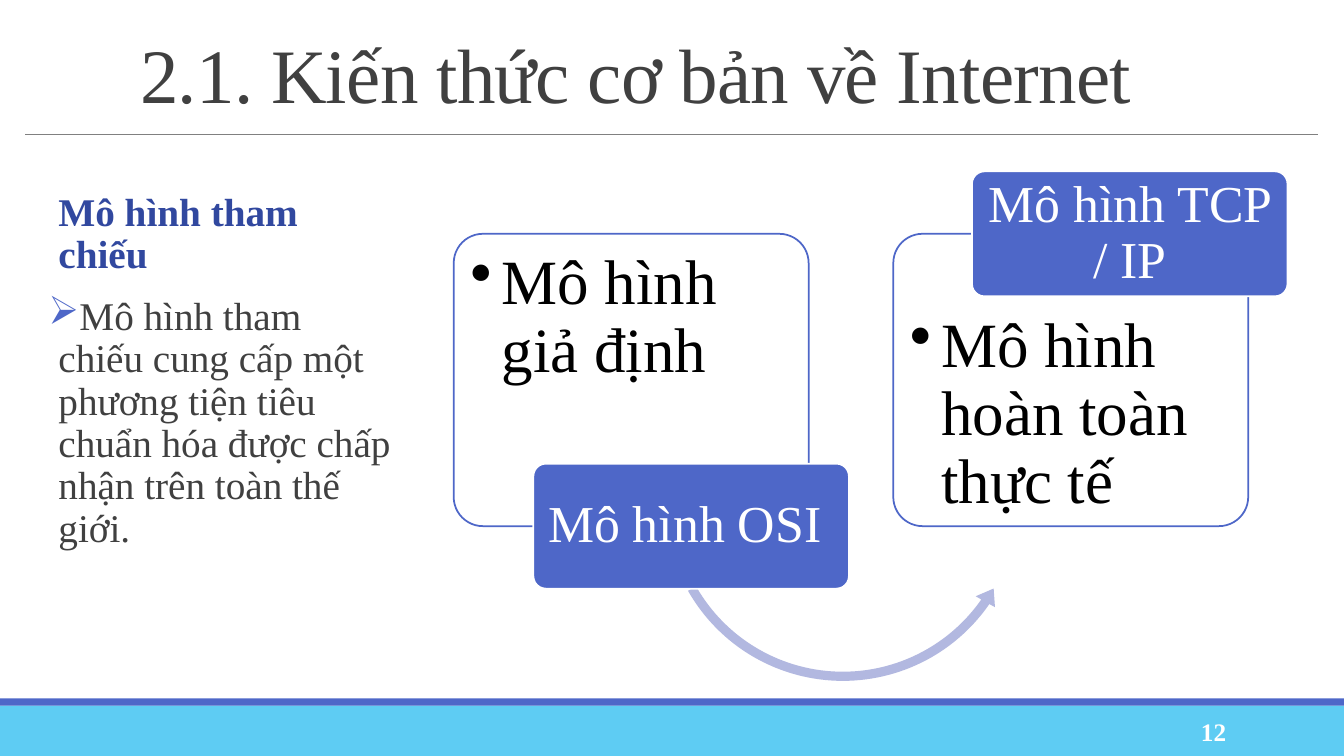
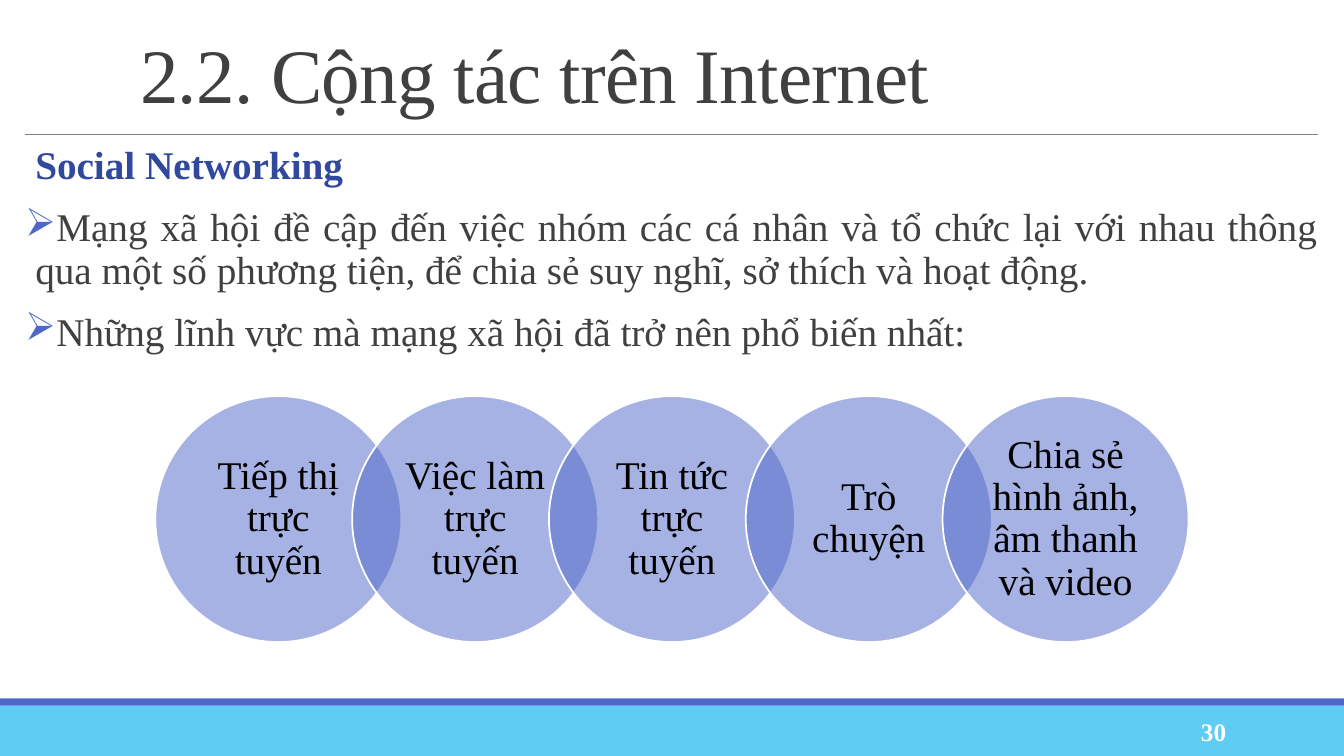
from lxml.etree import SubElement
from pptx import Presentation
from pptx.dml.color import RGBColor
from pptx.enum.shapes import MSO_CONNECTOR, MSO_SHAPE
from pptx.enum.text import MSO_ANCHOR, PP_ALIGN
from pptx.oxml.ns import qn
from pptx.util import Inches, Pt

# Content
MODELS = {
    "title": "2.1. Kiến thức cơ bản về Internet",
    "number": "12",
    "heading": "Mô hình tham chiếu",
    "points": ["Mô hình tham chiếu cung cấp một phương tiện tiêu chuẩn hóa được "
               "chấp nhận trên toàn thế giới."],
}
# Card text, card left, text top inset, label, label left, label top
CARDS = [
    ("Mô hình giả định", 4.5, 0.08, "Mô hình OSI ", 5.29, 4.6),
    ("Mô hình hoàn toàn thực tế", 8.86, 0.7, "Mô hình TCP / IP", 9.64, 1.7),
]
SOCIAL = {
    "title": "2.2. Cộng tác trên Internet",
    "number": "30",
    "heading": "Social Networking",
    "points": ["Mạng xã hội đề cập đến việc nhóm các cá nhân và tổ chức lại với nhau "
               "thông qua một số phương tiện, để chia sẻ suy nghĩ, sở thích và hoạt động.",
               "Những lĩnh vực mà mạng xã hội đã trở nên phổ biến nhất:"],
}
AREAS = ["Tiếp thị trực tuyến", "Việc làm trực tuyến", "Tin tức trực tuyến",
         "Trò chuyện", "Chia sẻ hình ảnh, âm thanh và video"]

# Style
FONT = "Times New Roman"
COLORS = {"sky": "5ECCF3", "blue": "4E67C8", "navy": "31489F", "text": "404040",
          "rule": "808080", "arrow": "B2B8E0", "white": "FFFFFF", "black": "000000"}
WIDTH, HEIGHT = 13.33, 7.5
LABEL_INSETS = (0.08, 0.05, 0.08, 0.05)


def rgb(name):
    return RGBColor.from_string(COLORS[name])


def add_bullet(p, char, indent, color):
    pPr = p._p.get_or_add_pPr()
    pPr.set("marL", str(Inches(indent)))
    pPr.set("indent", str(-Inches(indent)))
    clr = SubElement(pPr, qn("a:buClr"))
    SubElement(clr, qn("a:srgbClr"), val=COLORS[color])
    SubElement(pPr, qn("a:buChar"), char=char)


def style(p, size, color, bold=False, align=PP_ALIGN.LEFT, spacing=0.9):
    p.alignment = align
    p.line_spacing = spacing
    for r in p.runs:
        r.font.name, r.font.size, r.font.bold = FONT, Pt(size), bold
        r.font.color.rgb = rgb(color)


def frame(s, insets=(0.1, 0.05, 0.1, 0.05), anchor=MSO_ANCHOR.MIDDLE):
    tf = s.text_frame
    tf.word_wrap = True
    tf.vertical_anchor = anchor
    tf.margin_left, tf.margin_top, tf.margin_right, tf.margin_bottom = map(Inches, insets)
    return tf


def add_text_box(slide, box, *args):
    return frame(slide.shapes.add_textbox(*map(Inches, box)), *args)


def add_block(slide, kind, box, fill, line=None, alpha=None):
    s = slide.shapes.add_shape(kind, *map(Inches, box))
    s.shadow.inherit = False
    s.fill.solid()
    s.fill.fore_color.rgb = rgb(fill)
    if alpha is not None:
        clr = s._element.spPr.find(qn("a:solidFill"))[0]
        SubElement(clr, qn("a:alpha"), val=str(alpha * 1000))
    if line:
        s.line.color.rgb = rgb(line)
        s.line.width = Pt(1.25)
    else:
        s.line.fill.background()
    return s


def add_slide(prs, content, body_box, align):
    slide = prs.slides.add_slide(prs.slide_layouts[6])

    # Bottom bands and title rule
    add_block(slide, MSO_SHAPE.RECTANGLE, (0, 7, WIDTH, 0.5), "sky")
    add_block(slide, MSO_SHAPE.RECTANGLE, (0, 6.93, WIDTH, 0.07), "blue")
    rule = slide.shapes.add_connector(MSO_CONNECTOR.STRAIGHT, Inches(0.25), Inches(1.33),
                                      Inches(13.07), Inches(1.33))
    rule.line.color.rgb = rgb("rule")
    rule.line.width = Pt(0.5)
    SubElement(rule._element.spPr, qn("a:effectLst"))

    # Title
    p = add_text_box(slide, (1.29, 0.31, 11.78, 0.96)).paragraphs[0]
    p.text = content["title"]
    style(p, 55, "text", spacing=0.85)
    p.runs[0]._r.get_or_add_rPr().set("spc", "-50")

    # Heading and points
    tf = add_text_box(slide, body_box, (0, 0.05, 0, 0.05), MSO_ANCHOR.TOP)
    tf.text = content["heading"]
    p = tf.paragraphs[0]
    p._p.get_or_add_pPr().set("marL", str(Inches(0.1)))
    style(p, 28, "navy", True, align)
    p.space_after = Pt(2)
    for point in content["points"]:
        p = tf.add_paragraph()
        p.text = point
        add_bullet(p, "➢", 0.1, "blue")
        style(p, 28, "text", align=align)
        p.space_before, p.space_after = Pt(12), Pt(2)

    # Slide number
    p = add_text_box(slide, (10.83, 7.06, 1.43, 0.4)).paragraphs[0]
    p.text = content["number"]
    style(p, 18, "white", True, PP_ALIGN.RIGHT, 1.0)
    return slide


def add_rounded(slide, box, fill, line):
    s = add_block(slide, MSO_SHAPE.ROUNDED_RECTANGLE, box, fill, line)
    s.adjustments[0] = 0.1
    return s


def add_curved_arrow(slide):
    s = add_block(slide, MSO_SHAPE.LEFT_CIRCULAR_ARROW, (6.53, 3.16, 3.66, 3.66), "arrow")
    for i, value in enumerate((0.025, 3.094, 20.849, 90.245, 0.03)):
        s.adjustments[i] = value


def build_models(prs):
    slide = add_slide(prs, MODELS, (0.48, 1.86, 3.43, 3.77), PP_ALIGN.LEFT)
    for i, (text, left, top_inset, label, label_left, label_top) in enumerate(CARDS):
        s = add_rounded(slide, (left, 2.32, 3.52, 2.9), "white", "blue")
        tf = frame(s, (0.08, top_inset, 0.08, 0.08), MSO_ANCHOR.TOP)
        tf.text = text
        add_bullet(tf.paragraphs[0], "•", 0.31, "black")
        style(tf.paragraphs[0], 45, "black")

        # The arrow starts behind the first label
        if i == 0:
            add_curved_arrow(slide)
        s = add_rounded(slide, (label_left, label_top, 3.13, 1.24), "blue", "white")
        tf = frame(s, LABEL_INSETS)
        tf.text = label
        style(tf.paragraphs[0], 37, "white", align=PP_ALIGN.CENTER)


def build_social(prs):
    slide = add_slide(prs, SOCIAL, (0.25, 1.4, 12.82, 5.34), PP_ALIGN.JUSTIFY)
    # Chain of circles, each overlapping the next by a fifth
    size = 2.44
    pitch = 0.8 * size
    left = (WIDTH - size - pitch * (len(AREAS) - 1)) / 2
    for i, area in enumerate(AREAS):
        s = add_block(slide, MSO_SHAPE.OVAL, (left + i * pitch, 3.93, size, size),
                      "blue", "white", alpha=50)
        tf = frame(s, (0.13, 0.04, 0.13, 0.04))
        tf.text = area
        style(tf.paragraphs[0], 28, "black", align=PP_ALIGN.CENTER)


def main():
    prs = Presentation()
    prs.slide_width, prs.slide_height = Inches(WIDTH), Inches(HEIGHT)
    build_models(prs)
    build_social(prs)
    prs.save("out.pptx")


if __name__ == "__main__":
    main()
